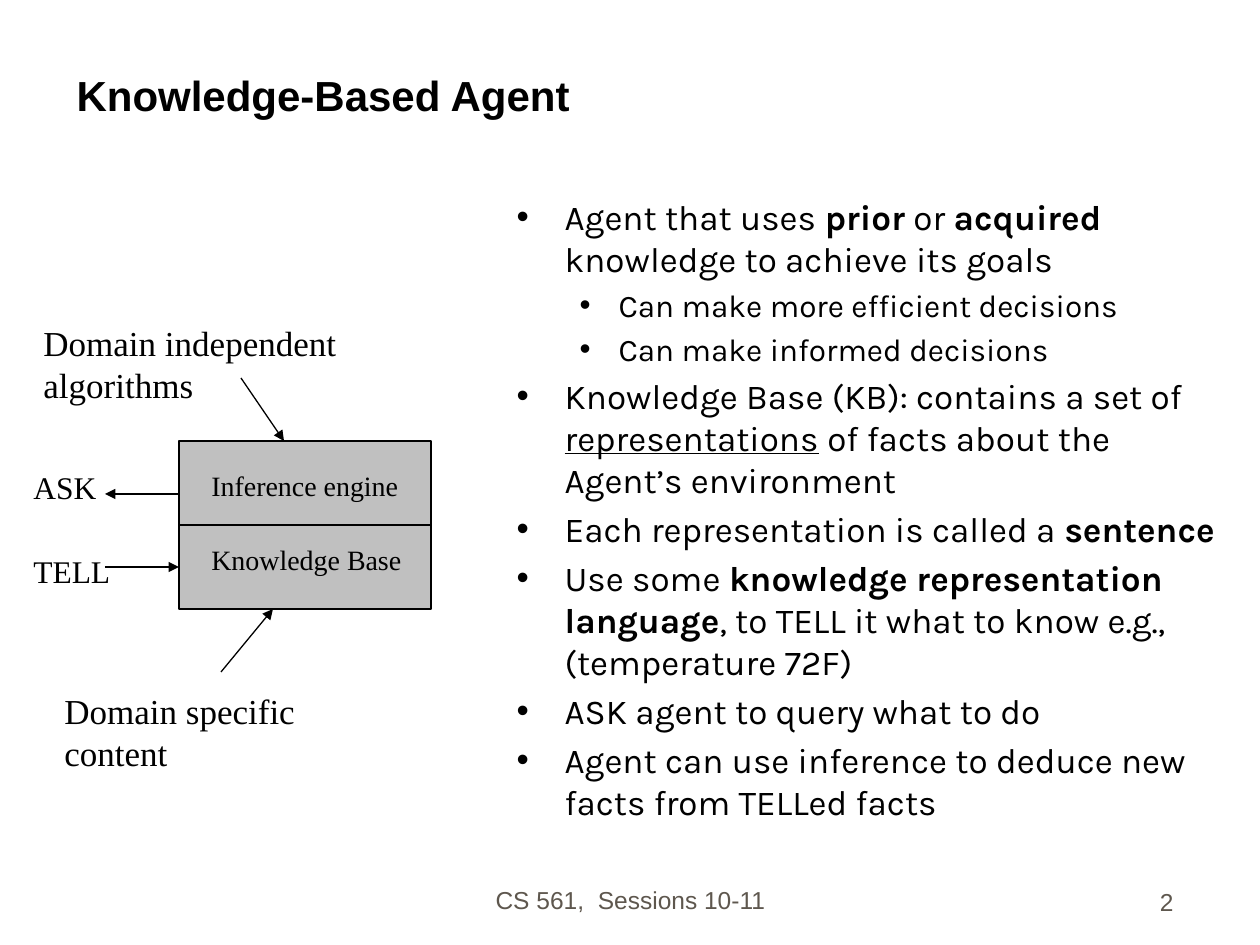
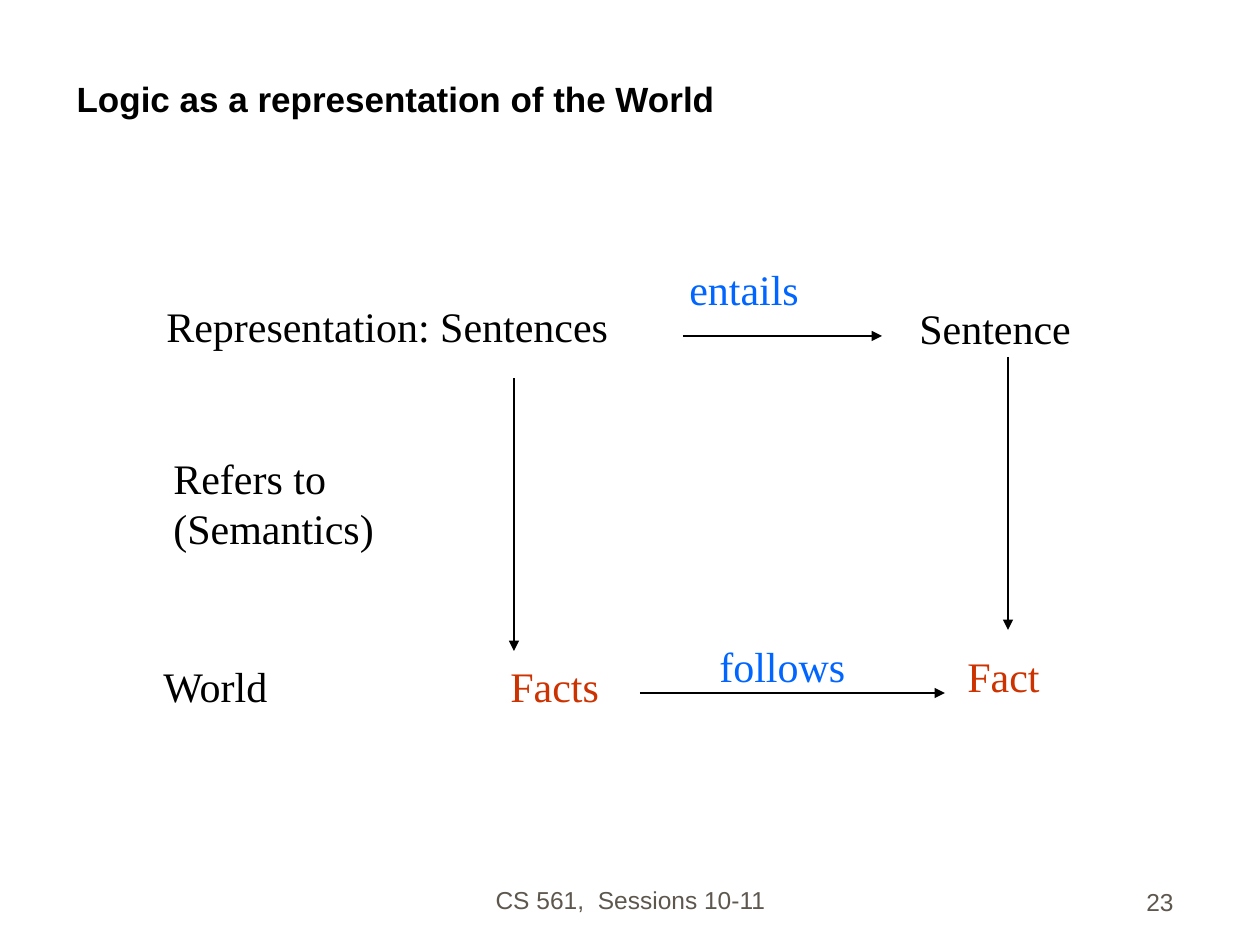
from lxml.etree import SubElement as Sub
from pptx import Presentation
from pptx.dml.color import RGBColor
from pptx.enum.shapes import MSO_CONNECTOR as Link, MSO_SHAPE as Kind
from pptx.enum.text import MSO_ANCHOR as Anchor, MSO_AUTO_SIZE as Auto, PP_ALIGN as Align
from pptx.oxml.ns import qn
from pptx.util import Inches, Pt

BLACK, GRAY, TAUPE = "000000", "C0C0C0", "5E574E"
RED, BLUE = "CC3300", "0066FF"
SANS, SERIF, BODY = "Arial", "Times New Roman", "Karla"
LEVELS = [(20, 48, 48), (18, 102, 39)]

BULLETS = [
    (0, [("Agent that uses ", ""), ("prior", "b"), (" or ", ""), ("acquired", "b"),
         (" knowledge to achieve its goals", "")]),
    (1, [("Can make more efficient decisions", "")]),
    (1, [("Can make informed decisions", "")]),
    (0, [("Knowledge Base (KB): contains a set of ", ""), ("representations", "u"),
         (" of facts about the Agent’s environment", "")]),
    (0, [("Each representation is called a ", ""), ("sentence", "b")]),
    (0, [("Use some ", ""), ("knowledge representation language", "b"),
         (", to TELL it what to know e.g., (temperature 72F)", "")]),
    (0, [("ASK agent to query what to do", "")]),
    (0, [("Agent can use inference to deduce new facts from TELLed facts", "")]),
]


def px(count):
    """Turn px into EMU, 126 px to the inch."""
    return Inches(count / 126)


def color(code):
    """Return the colour of a hex string."""
    return RGBColor.from_string(code)


def write(par, text, size=24, font=SERIF, ink=BLACK, bold=False, under=False):
    """Add a formatted run to a paragraph."""
    run = par.add_run()
    run.text = text
    face = run.font
    face.size, face.name, face.bold, face.underline = Pt(size), font, bold, under
    face.color.rgb = color(ink)


def label(slide, text, x, y, wide, align=Align.LEFT, anchor=Anchor.TOP, high=63, **style):
    """Add a text box with one paragraph for each line of text."""
    frame = slide.shapes.add_textbox(px(x), px(y), px(wide), px(high)).text_frame
    frame.word_wrap, frame.vertical_anchor = True, anchor
    for i, line in enumerate(text.split("\n")):
        par = frame.add_paragraph() if i else frame.paragraphs[0]
        par.alignment = align
        write(par, line, **style)


def place(shape, x, y, wide, high):
    """Move and size a shape."""
    shape.left, shape.top, shape.width, shape.height = map(px, (x, y, wide, high))


def arrow(slide, x1, y1, x2, y2):
    """Draw a thin black arrow and return it."""
    line = slide.shapes.add_connector(Link.STRAIGHT, px(x1), px(y1), px(x2), px(y2))
    line.line.color.rgb, line.line.width = color(BLACK), Pt(0.75)
    Sub(line.line._get_or_add_ln(), qn("a:tailEnd"), type="triangle")
    Sub(line._element.spPr, qn("a:effectLst"))
    return line


def block(slide, x, y, wide, high):
    """Draw a gray outlined rectangle and return it."""
    rect = slide.shapes.add_shape(Kind.RECTANGLE, px(x), px(y), px(wide), px(high))
    rect.shadow.inherit = False
    rect.fill.solid()
    rect.fill.fore_color.rgb = color(GRAY)
    rect.line.color.rgb, rect.line.width = color(BLACK), Pt(0.75)
    return rect


def page(deck, layout, title, number, size):
    """Add a slide with its title, footer and number."""
    slide = deck.slides.add_slide(deck.slide_layouts[layout])
    head = slide.shapes.title
    place(head, 64, 32, 1124, 94)
    frame = head.text_frame
    frame.vertical_anchor, frame.auto_size = Anchor.BOTTOM, Auto.NONE
    frame.paragraphs[0].alignment = Align.LEFT
    write(frame.paragraphs[0], title, size=size, font=SANS, bold=True)
    note = dict(size=14, font=SANS, ink=TAUPE, anchor=Anchor.BOTTOM)
    label(slide, "CS 561,  Sessions 10-11", 431, 858, 399, align=Align.CENTER, **note)
    label(slide, number, 924, 860, 262, align=Align.RIGHT, **note)
    return slide


def points(body, x, y, wide, high):
    """Fill the body placeholder with the bullet list."""
    place(body, x, y, wide, high)
    frame = body.text_frame
    frame.auto_size, frame.vertical_anchor = Auto.NONE, Anchor.TOP
    for i, (level, runs) in enumerate(BULLETS):
        size, left, hang = LEVELS[level]
        par = frame.add_paragraph() if i else frame.paragraphs[0]
        par.level, par.space_before = level, Pt(size * 0.2)
        prop = par._p.get_or_add_pPr()
        prop.set("marL", str(px(left)))
        prop.set("indent", str(-px(hang)))
        Sub(Sub(prop, qn("a:buClr")), qn("a:srgbClr"), val=BLACK)
        Sub(prop, qn("a:buFont"), typeface=SANS)
        Sub(prop, qn("a:buChar"), char="•")
        for text, mark in runs:
            write(par, text, size=size, font=BODY, bold=mark == "b", under=mark == "u")


def agent(slide, x, y):
    """Draw the agent diagram from its top left corner."""
    wide, high = 252, 84
    left, top = x + 158, y + 126
    block(slide, left, top, wide, high)
    base = block(slide, left, top + high, wide, high)
    for text, dx, dy, room, size in [
        ("Knowledge Base", 178, 221, 225, 16),
        ("Inference engine", 178, 147, 225, 16),
        ("Domain independent algorithms", 10, 0, 340, 20),
        ("Domain specific content", 31, 368, 290, 20),
        ("TELL", 0, 231, 110, 18),
        ("ASK", 0, 147, 110, 18),
    ]:
        label(slide, text, x + dx, y + dy, room, size=size)
    arrow(slide, x + 200, y + 357, x + 252, top + 2 * high)
    arrow(slide, x + 220, y + 63, x + 263, top)
    arrow(slide, left, y + 179, x + 84, y + 179)
    tell = arrow(slide, x + 84, y + 252, left, y + 252)
    tell.end_connect(base, 1)


def world(slide, x, y):
    """Draw the map from sentences to facts from its top left corner."""
    for x1, y1, x2, y2 in [
        (532, 79, 731, 79), (857, 100, 857, 373),
        (489, 436, 794, 436), (363, 121, 363, 394),
    ]:
        arrow(slide, x + x1, y + y1, x + x2, y + y2)
    for text, dx, dy, room, ink in [
        ("Facts", 347, 397, 130, RED),
        ("World", 0, 397, 150, BLACK),
        ("Fact", 804, 387, 120, RED),
        ("follows", 556, 377, 170, BLUE),
        ("Refers to\n(Semantics)", 10, 189, 250, BLACK),
        ("Representation: Sentences", 3, 37, 490, BLACK),
        ("Sentence", 756, 39, 200, BLACK),
        ("entails", 526, 0, 150, BLUE),
    ]:
        label(slide, text, x + dx, y + dy, room, ink=ink)


def main():
    """Build and save the deck."""
    deck = Presentation()
    deck.slide_width, deck.slide_height = px(1260), px(945)
    first = page(deck, 1, "Knowledge-Based Agent", "2", 24)
    points(first.placeholders[1], 504, 189, 725, 693)
    agent(first, 21, 315)
    second = page(deck, 5, "Logic as a representation of the World", "23", 20)
    world(second, 151, 257)
    deck.save("out.pptx")


if __name__ == "__main__":
    main()
